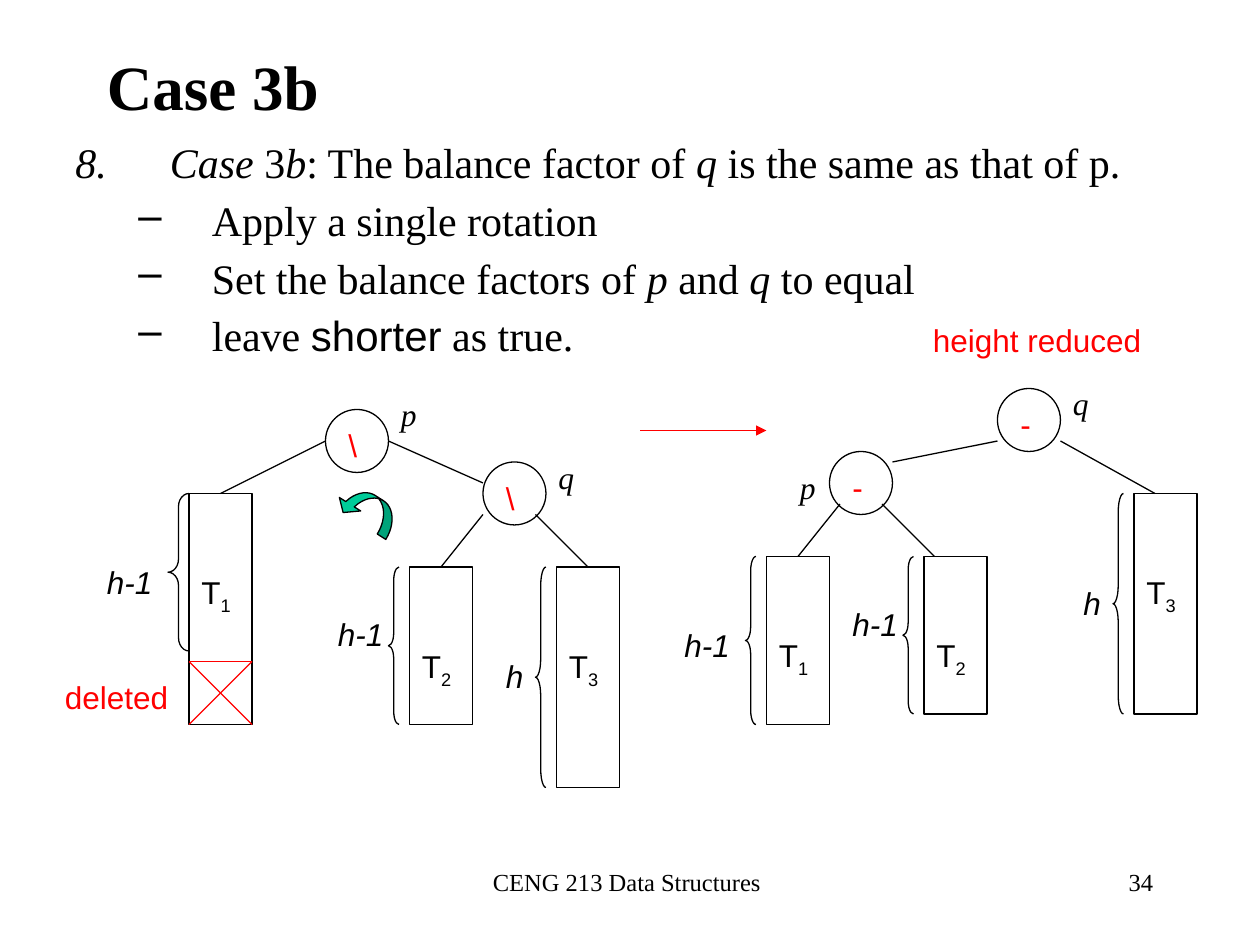
import dataclasses

import pptx
import pptx.dml.color
import pptx.enum.shapes
import pptx.enum.text
import pptx.oxml.ns
import pptx.util
from lxml import etree

Pt = pptx.util.Pt
SHAPE = pptx.enum.shapes.MSO_SHAPE
ALIGN = pptx.enum.text.PP_ALIGN
ANCHOR = pptx.enum.text.MSO_ANCHOR


@dataclasses.dataclass(frozen=True)
class Theme:
    serif: str = "Times New Roman"
    sans: str = "Arial"
    ink: str = "000000"
    accent: str = "FF0000"
    arrow: str = "00CC99"
    title: float = 36
    body: float = 24
    label: float = 18
    footer: float = 14
    line: float = 0.75


THEME = Theme()
NODE = 36
SUBTREE_WIDTH = 36


def rgb(value):
    return pptx.dml.color.RGBColor.from_string(value)


def apply(target, values):
    for name, value in values.items():
        setattr(target, name, value)


def add_element(parent, tag, **attributes):
    element = etree.SubElement(parent, pptx.oxml.ns.qn(tag))
    for name, value in attributes.items():
        element.set(name, value)
    return element


# Text
def add_span(para, text, size, font=THEME.sans, color=THEME.ink, **style):
    span = para.add_run()
    span.text = text
    apply(span.font, {"name": font, "size": Pt(size), **style})
    span.font.color.rgb = rgb(color)
    return span


def add_box(page, left, top, width, height, anchor=ANCHOR.TOP):
    frame = page.shapes.add_textbox(Pt(left), Pt(top), Pt(width), Pt(height)).text_frame
    apply(frame, {"word_wrap": True, "vertical_anchor": anchor,
                  "margin_left": Pt(7.2), "margin_right": Pt(7.2),
                  "margin_top": Pt(3.6), "margin_bottom": Pt(3.6)})
    return frame


def add_label(page, text, left, top, width, height=29, align=ALIGN.LEFT,
              size=THEME.label, anchor=ANCHOR.TOP, **style):
    para = add_box(page, left, top, width, height, anchor).paragraphs[0]
    para.alignment = align
    add_span(para, text, size, **style)
    return para


def add_steps(page, steps):
    frame = add_box(page, 36, 78, 648, 138)
    for index, spans in enumerate(steps):
        para = frame.add_paragraph() if index else frame.paragraphs[0]
        apply(para, {"level": min(index, 1), "line_spacing": 0.9,
                     "space_before": Pt(7 if index else 0)})
        margin, hanging = (78, 42) if index else (54, 54)
        properties = para._p.get_or_add_pPr()
        properties.set("marL", str(Pt(margin)))
        properties.set("indent", str(-Pt(hanging)))
        if index:
            add_element(properties, "a:buChar", char="–")
        else:
            add_element(properties, "a:buAutoNum", type="arabicPeriod", startAt="8")
        for text, style in spans:
            add_span(para, text, THEME.body, **{"font": THEME.serif, **style})


# Drawing
def add_outline(page, kind, left, top, width, height, fill=None):
    shape = page.shapes.add_shape(kind, Pt(left), Pt(top), Pt(width), Pt(height))
    shape.shadow.inherit = False
    if fill:
        shape.fill.solid()
        shape.fill.fore_color.rgb = rgb(fill)
    else:
        shape.fill.background()
    shape.line.color.rgb = rgb(THEME.ink)
    shape.line.width = Pt(THEME.line)
    return shape


def add_line(page, start, end, color=THEME.ink, arrow=False):
    line = page.shapes.add_connector(
        pptx.enum.shapes.MSO_CONNECTOR.STRAIGHT, *map(Pt, start + end))
    line.line.color.rgb = rgb(color)
    line.line.width = Pt(THEME.line)
    if arrow:
        add_element(line.line._get_or_add_ln(), "a:tailEnd", type="triangle")
    add_element(line._element.spPr, "a:effectLst")


def add_node(page, left, top, balance, name, name_left, name_top):
    add_outline(page, SHAPE.OVAL, left, top, NODE, NODE)
    add_label(page, balance, left + 6, top + 6, 30, color=THEME.accent)
    add_label(page, name, name_left, name_top, 42, font=THEME.serif, italic=True)


def add_subtree(page, number, left, top, height, depth, depth_left, depth_top,
                brace_width=6, brace_height=None):
    add_outline(page, SHAPE.RECTANGLE, left, top, SUBTREE_WIDTH, height)
    para = add_label(page, "T", left, top + 42, SUBTREE_WIDTH, 32)
    index = add_span(para, number, THEME.label)
    index._r.get_or_add_rPr().set("baseline", "-25000")
    brace_height = brace_height or height
    brace = add_outline(page, SHAPE.LEFT_BRACE, left - 12, top, brace_width, brace_height)
    # Each curl takes a twelfth of the brace height
    brace.adjustments[0] = brace_height / 12 / brace_width
    add_label(page, depth, depth_left, depth_top, 62, italic=True)


def add_rotation_arrow(page):
    arrow = add_outline(page, SHAPE.CURVED_RIGHT_ARROW, 201, 273, 18, 36, THEME.arrow)
    arrow.rotation = 122.2
    for index, value in enumerate((0.32, 0.8, 0.34)):
        arrow.adjustments[index] = value


def main():
    deck = pptx.Presentation()
    apply(deck, {"slide_width": Pt(720), "slide_height": Pt(540)})
    page = deck.slides.add_slide(deck.slide_layouts[6])

    # Title, steps and footer
    add_label(page, "Case 3b", 54, 30, 612, 37, size=THEME.title,
              anchor=ANCHOR.MIDDLE, font=THEME.serif, bold=True)
    plain, italic = {}, {"italic": True}
    add_steps(page, [
        [("Case", italic), (" 3", plain), ("b", italic),
         (": The balance factor of ", plain), ("q", italic),
         (" is the same as that of p.", plain)],
        [("Apply a single rotation", plain)],
        [("Set the balance factors of ", plain), ("p", italic), (" and ", plain),
         ("q", italic), (" to equal", plain)],
        [("leave ", plain), ("shorter", {"font": THEME.sans}), (" as true.", plain)],
    ])
    for text, left, width, align in (("CENG 213 Data Structures ", 246, 228, ALIGN.CENTER),
                                     ("34", 516, 150, ALIGN.RIGHT)):
        add_label(page, text, left, 492, width, 36, align, THEME.footer, font=THEME.serif)

    # Nodes before and after the rotation
    for node in ((186, 234, "\\", "p", 222, 222), (276, 264, "\\", "q", 312, 258),
                 (570, 222, "-", "q", 606, 216), (474, 258, "-", "p", 450, 264)):
        add_node(page, *node)

    # Subtrees with their heights
    add_subtree(page, "1", 108, 282, 132, "h-1", 54, 318, brace_width=12, brace_height=90)
    for subtree in (("2", 234, 324, 90, "h-1", 186, 348),
                    ("3", 318, 324, 126, "h", 282, 372),
                    ("3", 648, 282, 126, "h", 612, 330),
                    ("1", 438, 318, 96, "h-1", 384, 354),
                    ("2", 528, 318, 90, "h-1", 480, 342)):
        add_subtree(page, *subtree)

    # Tree edges
    for start, end in (((186, 252), (126, 282)), ((222, 252), (276, 276)),
                       ((276, 294), (252, 324)), ((306, 294), (336, 324)),
                       ((606, 252), (660, 282)), ((570, 252), (510, 264)),
                       ((480, 288), (456, 318)), ((504, 288), (534, 318))):
        add_line(page, start, end)

    # Deleted part, rotation and result
    for start, end in (((108, 378), (144, 378)), ((108, 378), (144, 414)),
                       ((144, 378), (108, 414))):
        add_line(page, start, end, THEME.accent)
    add_label(page, "deleted", 30, 384, 84, color=THEME.accent)
    add_rotation_arrow(page)
    add_line(page, (366, 246), (438, 246), THEME.accent, arrow=True)
    add_label(page, "height reduced", 526, 180, 194, color=THEME.accent)

    deck.save("out.pptx")


if __name__ == "__main__":
    main()
